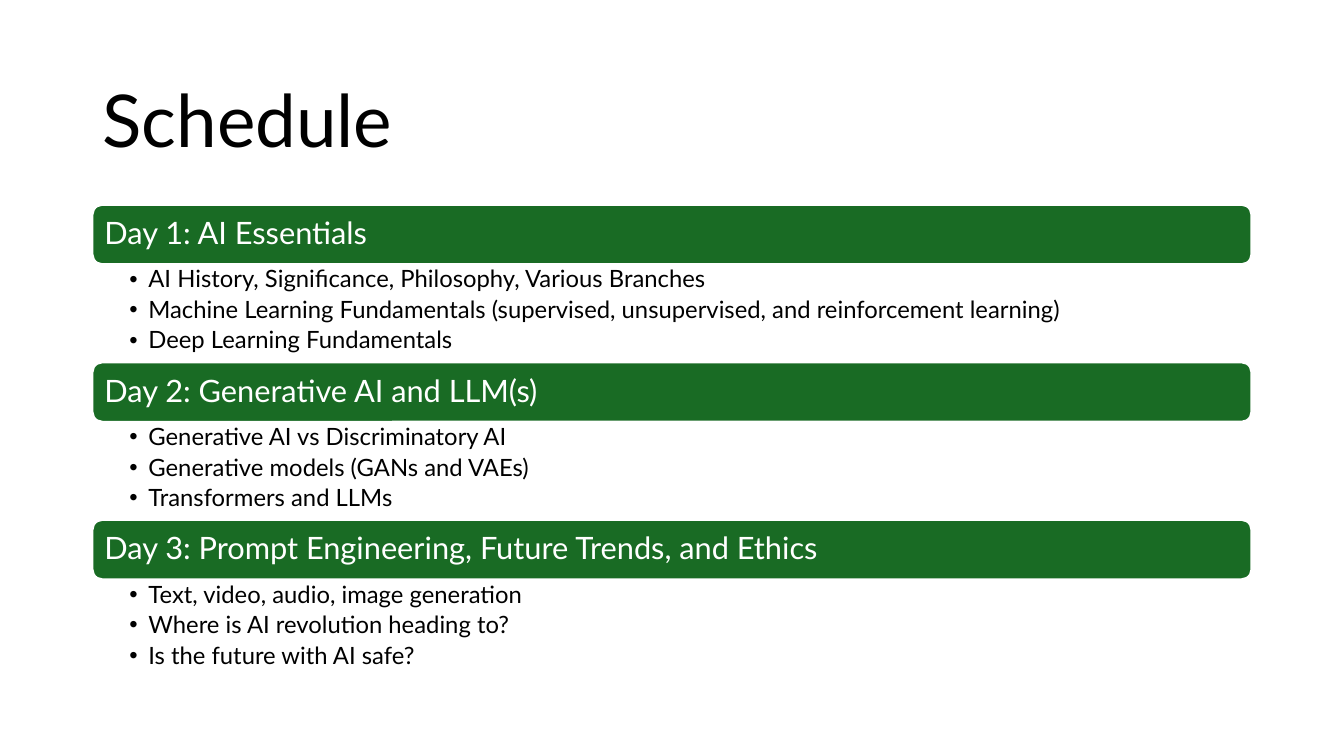
from dataclasses import dataclass

import pptx
import pptx.dml.color
import pptx.enum.shapes
import pptx.enum.text
import pptx.oxml
import pptx.oxml.ns
import pptx.slide
import pptx.text.text
import pptx.util

Cm = pptx.util.Cm
Pt = pptx.util.Pt
RGBColor = pptx.dml.color.RGBColor
Anchor = pptx.enum.text.MSO_ANCHOR


@dataclass(frozen=True)
class Theme:
    font: str = "Lato"
    ink: RGBColor = RGBColor(0x00, 0x00, 0x00)
    paper: RGBColor = RGBColor(0xFF, 0xFF, 0xFF)
    green: RGBColor = RGBColor(0x19, 0x6B, 0x24)
    title_size: float = 52
    day_size: float = 22
    topic_size: float = 17


@dataclass(frozen=True)
class Day:
    heading: str
    topics: tuple[str, ...]


THEME = Theme()
LEFT, WIDTH = Cm(2.33), Cm(29.21)
FIRST_DAY_TOP = Cm(5.16)
BAR_HEIGHT, TOPICS_HEIGHT = Cm(1.5), Cm(2.47)
BULLET_INDENT = Cm(0.48)

DAYS = (
    Day("Day 1: AI Essentials", (
        "AI History, Significance, Philosophy, Various Branches",
        "Machine Learning Fundamentals (supervised, unsupervised, and reinforcement learning)",
        "Deep Learning Fundamentals",
    )),
    Day("Day 2: Generative AI and LLM(s)", (
        "Generative AI vs Discriminatory AI",
        "Generative models (GANs and VAEs)",
        "Transformers and LLMs",
    )),
    Day("Day 3: Prompt Engineering, Future Trends, and Ethics", (
        "Text, video, audio, image generation",
        "Where is AI revolution heading to?",
        "Is the future with AI safe?",
    )),
)


def set_format(target: object, values: dict[str, object]) -> None:
    for name, value in values.items():
        setattr(target, name, value)


def write(paragraph: pptx.text.text._Paragraph, text: str, size: float,
          color: RGBColor) -> None:
    set_format(paragraph, {
        "alignment": pptx.enum.text.PP_ALIGN.LEFT,
        "line_spacing": 0.9,
    })
    run = paragraph.add_run()
    run.text = text
    set_format(run.font, {"name": THEME.font, "size": Pt(size)})
    run.font.color.rgb = color


def add_bullet(paragraph: pptx.text.text._Paragraph) -> None:
    properties = paragraph._p.get_or_add_pPr()
    properties.set("marL", str(BULLET_INDENT))
    properties.set("indent", str(-BULLET_INDENT))
    namespace = pptx.oxml.ns.nsdecls("a")
    for bullet_part in ('a:buFont {} typeface="Arial"', 'a:buChar {} char="•"'):
        properties.append(pptx.oxml.parse_xml(f"<{bullet_part.format(namespace)}/>"))


def add_title(slide: pptx.slide.Slide, text: str) -> None:
    title = slide.shapes.title
    set_format(title, {"left": LEFT, "top": Cm(1.55),
                       "width": WIDTH, "height": Cm(3.15)})
    set_format(title.text_frame, {
        "vertical_anchor": Anchor.MIDDLE,
        "auto_size": pptx.enum.text.MSO_AUTO_SIZE.NONE,
    })
    write(title.text_frame.paragraphs[0], text, THEME.title_size, THEME.ink)


def add_day_bar(slide: pptx.slide.Slide, heading: str, top: int) -> None:
    bar = slide.shapes.add_shape(
        pptx.enum.shapes.MSO_SHAPE.ROUNDED_RECTANGLE, LEFT, top, WIDTH, BAR_HEIGHT)
    bar.shadow.inherit = False
    bar.fill.solid()
    bar.fill.fore_color.rgb = THEME.green
    bar.line.color.rgb = THEME.paper
    bar.line.width = Pt(1.5)
    inset = Cm(0.23)
    set_format(bar.text_frame, {
        "word_wrap": True, "vertical_anchor": Anchor.MIDDLE,
        "margin_left": inset, "margin_right": inset,
        "margin_top": 0, "margin_bottom": 0,
    })
    write(bar.text_frame.paragraphs[0], heading, THEME.day_size, THEME.paper)


def add_topics(slide: pptx.slide.Slide, topics: tuple[str, ...], top: int) -> None:
    frame = slide.shapes.add_textbox(LEFT, top, WIDTH, TOPICS_HEIGHT).text_frame
    set_format(frame, {
        "word_wrap": True, "vertical_anchor": Anchor.TOP,
        "margin_left": Cm(0.93), "margin_right": Cm(0.43),
        "margin_top": Cm(0.08), "margin_bottom": Cm(0.08),
    })
    for index, topic in enumerate(topics):
        paragraph = frame.add_paragraph() if index else frame.paragraphs[0]
        add_bullet(paragraph)
        set_format(paragraph, {"level": 1, "space_after": Pt(3.4)})
        write(paragraph, topic, THEME.topic_size, THEME.ink)


def main() -> None:
    deck = pptx.Presentation()
    set_format(deck, {"slide_width": Cm(33.87), "slide_height": Cm(19.05)})
    slide = deck.slides.add_slide(deck.slide_layouts.get_by_name("Title Only"))
    add_title(slide, "Schedule")
    for index, day in enumerate(DAYS):
        top = FIRST_DAY_TOP + index * (BAR_HEIGHT + TOPICS_HEIGHT)
        add_day_bar(slide, day.heading, top)
        add_topics(slide, day.topics, top + BAR_HEIGHT)
    deck.save("out.pptx")


if __name__ == "__main__":
    main()
